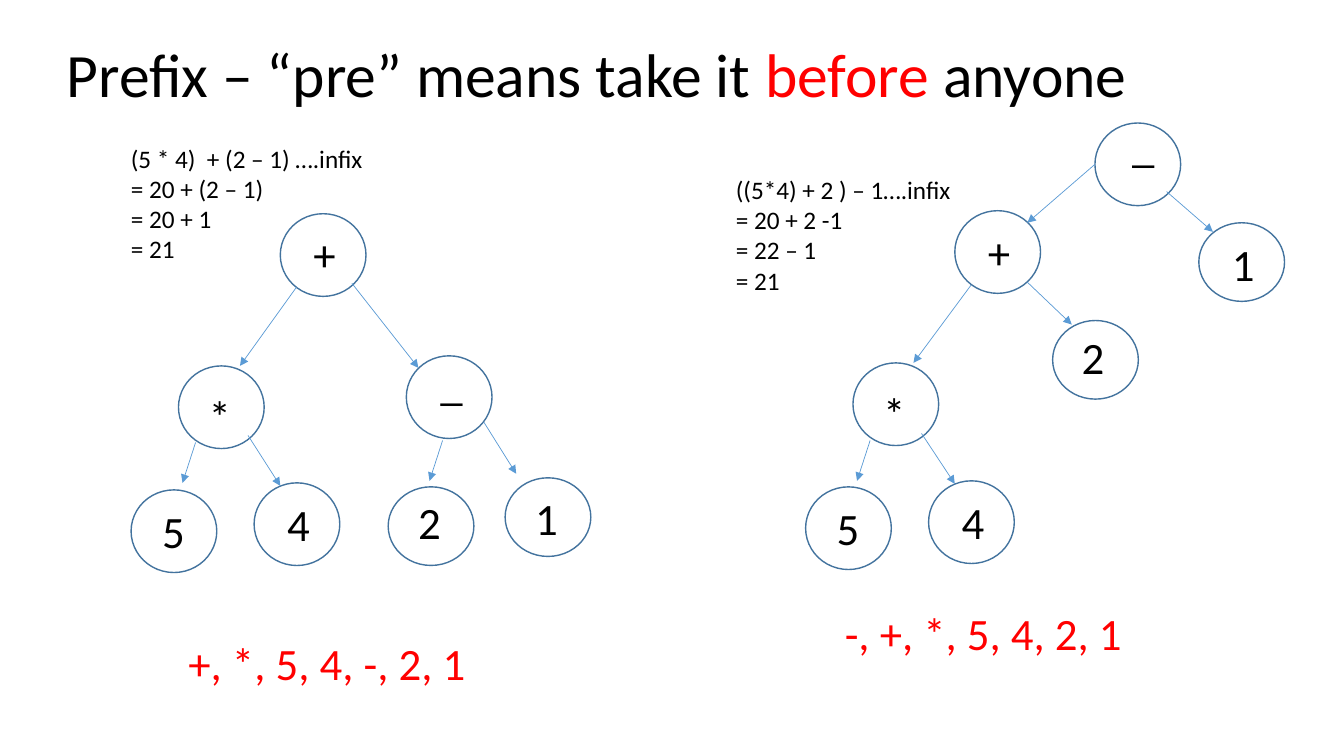
"""Build a slide that shows prefix notation with two expression trees."""
from lxml import etree
from pptx import Presentation
from pptx.dml.color import RGBColor
from pptx.enum.shapes import MSO_CONNECTOR, MSO_SHAPE
from pptx.enum.text import MSO_ANCHOR, MSO_AUTO_SIZE, PP_ALIGN
from pptx.oxml.ns import qn
from pptx.util import Inches, Pt

OVAL = MSO_SHAPE.OVAL
STRAIGHT = MSO_CONNECTOR.STRAIGHT
MIDDLE = MSO_ANCHOR.MIDDLE
NO_AUTOFIT = MSO_AUTO_SIZE.NONE
LEFT = PP_ALIGN.LEFT

FONT = "Calibri"
COLORS = {"text": "000000", "accent": "FF0000", "outline": "43739E", "arrow": "5B9BD5"}
NODE_WIDTH = 0.85
LABEL_SIZE = (0.46, 0.64)

# Each node: symbol, oval left, top and height, label left and top.
TREES = [
    {
        "nodes": [
            ("+", 2.78, 2.12, 0.82, 3.01, 2.2),
            ("*", 1.77, 3.63, 0.82, 1.97, 3.81),
            ("_", 4.03, 3.53, 0.82, 4.27, 3.48),
            ("5", 1.3, 4.86, 0.82, 1.51, 4.95),
            ("4", 2.52, 4.79, 0.82, 2.75, 4.88),
            ("2", 3.85, 4.83, 0.78, 4.05, 4.86),
            ("1", 5.01, 4.74, 0.78, 5.21, 4.82),
        ],
        "arrows": [
            (2.94, 2.85, 2.38, 3.63),
            (3.49, 2.81, 4.15, 3.65),
            (2.46, 4.32, 2.78, 4.82),
            (1.94, 4.39, 1.81, 4.79),
            (4.39, 4.37, 4.26, 4.77),
            (4.8, 4.19, 5.12, 4.7),
        ],
        "prefix": ("+, *, 5, 4, -, 2, 1", 1.77, 6.26),
        "infix": ("(5 * 4)  + (2 – 1) ….infix\n= 20 + (2 – 1)\n= 20 + 1\n= 21", 1.2, 1.37),
    },
    {
        "nodes": [
            ("+", 9.47, 2.09, 0.82, 9.7, 2.18),
            ("*", 8.46, 3.6, 0.82, 8.66, 3.78),
            ("_", 10.86, 1.22, 0.82, 11.13, 1.12),
            ("5", 7.99, 4.83, 0.82, 8.2, 4.92),
            ("4", 9.21, 4.77, 0.82, 9.44, 4.86),
            ("2", 10.44, 3.18, 0.78, 10.63, 3.22),
            ("1", 11.89, 2.21, 0.78, 12.12, 2.3),
        ],
        "arrows": [
            (9.63, 2.83, 9.06, 3.6),
            (10.86, 1.63, 10.19, 2.21),
            (9.14, 4.3, 9.47, 4.8),
            (8.63, 4.37, 8.5, 4.77),
            (10.19, 2.8, 10.63, 3.22),
            (11.57, 1.9, 12.03, 2.3),
        ],
        "prefix": ("-, +, *, 5, 4, 2, 1", 8.28, 5.96),
        "infix": ("((5*4) + 2 ) – 1….infix\n= 20 + 2 -1\n= 22 – 1\n= 21", 7.2, 1.68),
    },
]


def format_run(run, size, color):
    run.font.name = FONT
    run.font.size = Pt(size)
    run.font.color.rgb = RGBColor.from_string(COLORS[color])


def add_text(shapes, text, box, size, color, wrap):
    text_box = shapes.add_textbox(*map(Inches, box))
    text_box.text_frame.word_wrap = wrap
    text_box.text_frame.text = text
    for paragraph in text_box.text_frame.paragraphs:
        for run in paragraph.runs:
            format_run(run, size, color)


presentation = Presentation()
presentation.slide_width = Inches(13.33)
presentation.slide_height = Inches(7.5)
slide = presentation.slides.add_slide(presentation.slide_layouts[5])

title = slide.shapes.title
title.left, title.top, title.width, title.height = map(Inches, (0.56, 0.04, 12.01, 1.45))
title.text_frame.vertical_anchor = MIDDLE
title.text_frame.auto_size = NO_AUTOFIT
title_paragraph = title.text_frame.paragraphs[0]
title_paragraph.alignment = LEFT
title_paragraph.line_spacing = 0.9
for text, color in (
    ("Prefix – “pre” means take it ", "text"),
    ("before", "accent"),
    (" anyone", "text"),
):
    run = title_paragraph.add_run()
    run.text = text
    format_run(run, 44, color)

for tree in TREES:
    group = slide.shapes.add_group_shape()
    for symbol, left, top, height, label_left, label_top in tree["nodes"]:
        node = group.shapes.add_shape(OVAL, *map(Inches, (left, top, NODE_WIDTH, height)))
        node.shadow.inherit = False
        node.fill.background()
        node.line.color.rgb = RGBColor.from_string(COLORS["outline"])
        node.line.width = Pt(1)
        add_text(group.shapes, symbol, (label_left, label_top, *LABEL_SIZE), 32, "text", True)
    for ends in tree["arrows"]:
        arrow = group.shapes.add_connector(STRAIGHT, *map(Inches, ends))
        arrow.line.color.rgb = RGBColor.from_string(COLORS["arrow"])
        arrow.line.width = Pt(0.5)
        etree.SubElement(arrow.line._get_or_add_ln(), qn("a:tailEnd"), type="triangle")
        etree.SubElement(arrow._element.spPr, qn("a:effectLst"))
    prefix, left, top = tree["prefix"]
    add_text(slide.shapes, prefix, (left, top, 2.98, 0.64), 32, "accent", False)
    infix, left, top = tree["infix"]
    add_text(slide.shapes, infix, (left, top, 2.5, 1.31), 18, "text", False)

presentation.save("out.pptx")
